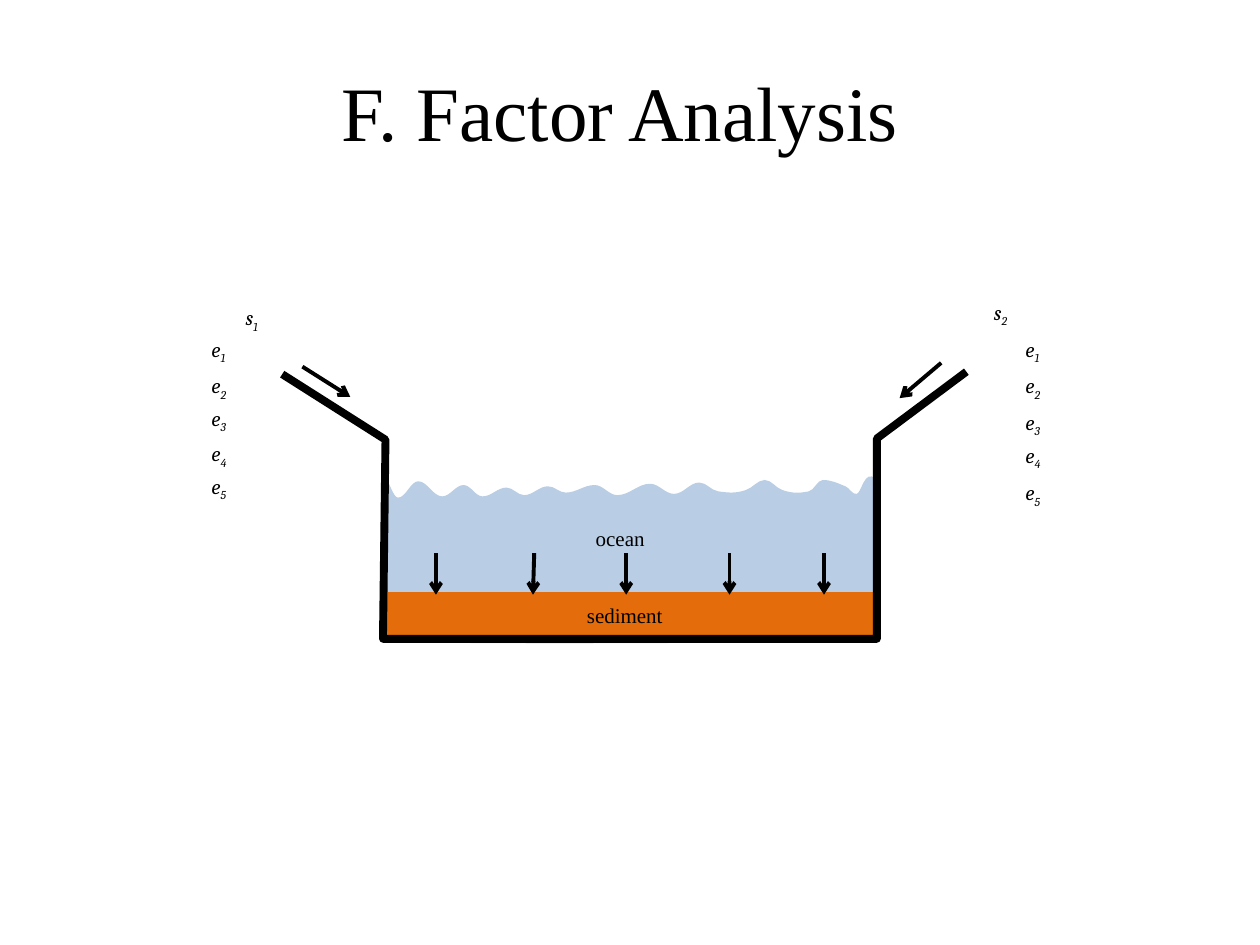
from pptx import Presentation
from pptx.dml.color import RGBColor
from pptx.enum.shapes import MSO_CONNECTOR, MSO_SHAPE
from pptx.enum.text import MSO_ANCHOR, MSO_AUTO_SIZE, PP_ALIGN
from pptx.oxml.ns import qn
from pptx.util import Inches, Pt
from lxml.etree import SubElement

BLACK = RGBColor(0x00, 0x00, 0x00)
WATER = RGBColor(0xB9, 0xCD, 0xE5)
SEDIMENT = RGBColor(0xE4, 0x6C, 0x0A)
SERIF = "Times New Roman"
SYMBOL = "Cambria"

TITLE = "F. Factor Analysis"
WAVES = [
    (3.05, 3.79, 0.5), (3.16, 3.95, 0), (3.32, 3.82, 0), (3.51, 3.94, 0),
    (3.68, 3.85, 0), (3.83, 3.94, 0), (4.02, 3.87, 0), (4.16, 3.93, 0),
    (4.35, 3.86, 0), (4.49, 3.91, 0), (4.72, 3.85, 0), (4.90, 3.93, 0),
    (5.16, 3.84, 0), (5.35, 3.92, 0), (5.55, 3.83, 0), (5.70, 3.90, 0.14),
    (5.92, 3.89, -0.33), (6.07, 3.81, 0), (6.21, 3.89, 0.33), (6.42, 3.90, -0.2),
    (6.53, 3.81, 0), (6.71, 3.86, 0.4), (6.80, 3.92, -0.25),
]
SEABED = [
    (6.84, 3.91), (6.86, 3.72), (6.95, 3.80),
    (6.96, 4.05), (6.97, 4.75), (6.94, 5.09),
    (6.22, 5.10), (3.64, 5.12), (3.03, 5.09),
    (3.05, 4.57), (3.05, 4.39), (3.06, 3.85),
]
BASIN = [(2.24, 2.97), (3.06, 3.49), (3.04, 5.07), (6.96, 5.07), (6.96, 3.48), (7.67, 2.95)]
SINKING = [(3.46, 3.46), (4.97, 4.97), (6.54, 6.54), (4.24, 4.23), (5.79, 5.79)]
INFLOWS = [((7.47, 2.88), (7.14, 3.16)), ((2.40, 2.91), (2.78, 3.15))]
ELEMENT_COLUMNS = {
    8.04: [2.62, 2.91, 3.20, 3.46, 3.76],
    1.58: [2.62, 2.91, 3.17, 3.45, 3.71],
}
SOURCES = [(1.85, 2.37), (7.79, 2.33)]
LABELS = [("ocean", 4.63, 4.12), ("sediment", 4.56, 4.73)]
HANDLE = 0.38


def surface_curves(knots):
    points = [knots[0][:2]]
    for (x1, y1, slope1), (x2, y2, slope2) in zip(knots, knots[1:]):
        reach = HANDLE * (x2 - x1)
        points += [(x1 + reach, y1 + slope1 * reach), (x2 - reach, y2 - slope2 * reach), (x2, y2)]
    return points


def add_outline(group, points, close):
    corners = [(Inches(x), Inches(y)) for x, y in points]
    builder = group.shapes.build_freeform(*corners[0])
    builder.add_line_segments(corners[1:], close=close)
    shape = builder.convert_to_shape()
    shape.shadow.inherit = False
    return shape


def bend_segments(shape):
    segments = list(shape._element.iter(qn("a:lnTo")))
    for start in range(0, len(segments), 3):
        trio = segments[start:start + 3]
        curve = SubElement(trio[0].getparent(), qn("a:cubicBezTo"))
        trio[0].addprevious(curve)
        for segment in trio:
            curve.append(segment[0])
            segment.getparent().remove(segment)


def paint(shape, color):
    shape.fill.solid()
    shape.fill.fore_color.rgb = color
    shape.line.fill.background()


def add_arrow(group, start, end):
    ends = [Inches(value) for value in (*start, *end)]
    arrow = group.shapes.add_connector(MSO_CONNECTOR.STRAIGHT, *ends)
    arrow.line.color.rgb = BLACK
    arrow.line.width = Pt(2.25)
    SubElement(arrow.line._get_or_add_ln(), qn("a:tailEnd"), type="arrow")
    SubElement(arrow._element.spPr, qn("a:effectLst"))


def add_label(group, text, left, top, width, font_name):
    box = group.shapes.add_textbox(Inches(left), Inches(top), Inches(width), Inches(0.3))
    box.text_frame.word_wrap = True
    box.text_frame.auto_size = MSO_AUTO_SIZE.SHAPE_TO_FIT_TEXT
    paragraph = box.text_frame.paragraphs[0]
    paragraph.add_run().text = text
    paragraph.font.size = Pt(12)
    paragraph.font.name = font_name
    paragraph.font.color.rgb = BLACK
    return paragraph


def add_symbol(group, letter, index, left, top):
    paragraph = add_label(group, letter, left, top, 0.42, SYMBOL)
    paragraph.font.italic = True
    subscript = paragraph.add_run()
    subscript.text = str(index)
    subscript._r.get_or_add_rPr().set("baseline", "-25000")


def add_title(slide):
    title = slide.shapes.title
    title.left, title.top = Inches(0.42), Inches(0.25)
    title.width, title.height = Inches(9), Inches(1.25)
    title.text_frame.text = TITLE
    title.text_frame.vertical_anchor = MSO_ANCHOR.MIDDLE
    paragraph = title.text_frame.paragraphs[0]
    paragraph.alignment = PP_ALIGN.CENTER
    paragraph.font.size = Pt(44)
    paragraph.font.name = SERIF
    paragraph.font.color.rgb = BLACK


def main():
    presentation = Presentation()
    presentation.slide_width, presentation.slide_height = Inches(10), Inches(7.5)
    slide = presentation.slides.add_slide(presentation.slide_layouts[5])
    add_title(slide)
    group = slide.shapes.add_group_shape()

    ocean = add_outline(group, surface_curves(WAVES) + SEABED, True)
    bend_segments(ocean)
    paint(ocean, WATER)
    sediment = group.shapes.add_shape(
        MSO_SHAPE.RECTANGLE, Inches(3.04), Inches(4.7), Inches(3.92), Inches(0.36))
    sediment.shadow.inherit = False
    paint(sediment, SEDIMENT)

    basin = add_outline(group, BASIN, False)
    basin.fill.background()
    basin.line.color.rgb = BLACK
    basin.line.width = Pt(4.5)
    SubElement(basin.line._get_or_add_ln(), qn("a:round"))

    for top_x, bottom_x in SINKING:
        add_arrow(group, (top_x, 4.39), (bottom_x, 4.72))
    for start, end in INFLOWS:
        add_arrow(group, start, end)

    for left, tops in ELEMENT_COLUMNS.items():
        for index, top in enumerate(tops, 1):
            add_symbol(group, "e", index, left, top)
    for index, (left, top) in enumerate(SOURCES, 1):
        add_symbol(group, "s", index, left, top)
    for text, left, top in LABELS:
        add_label(group, text, left, top, 0.83, SERIF)

    presentation.save("out.pptx")


if __name__ == "__main__":
    main()
